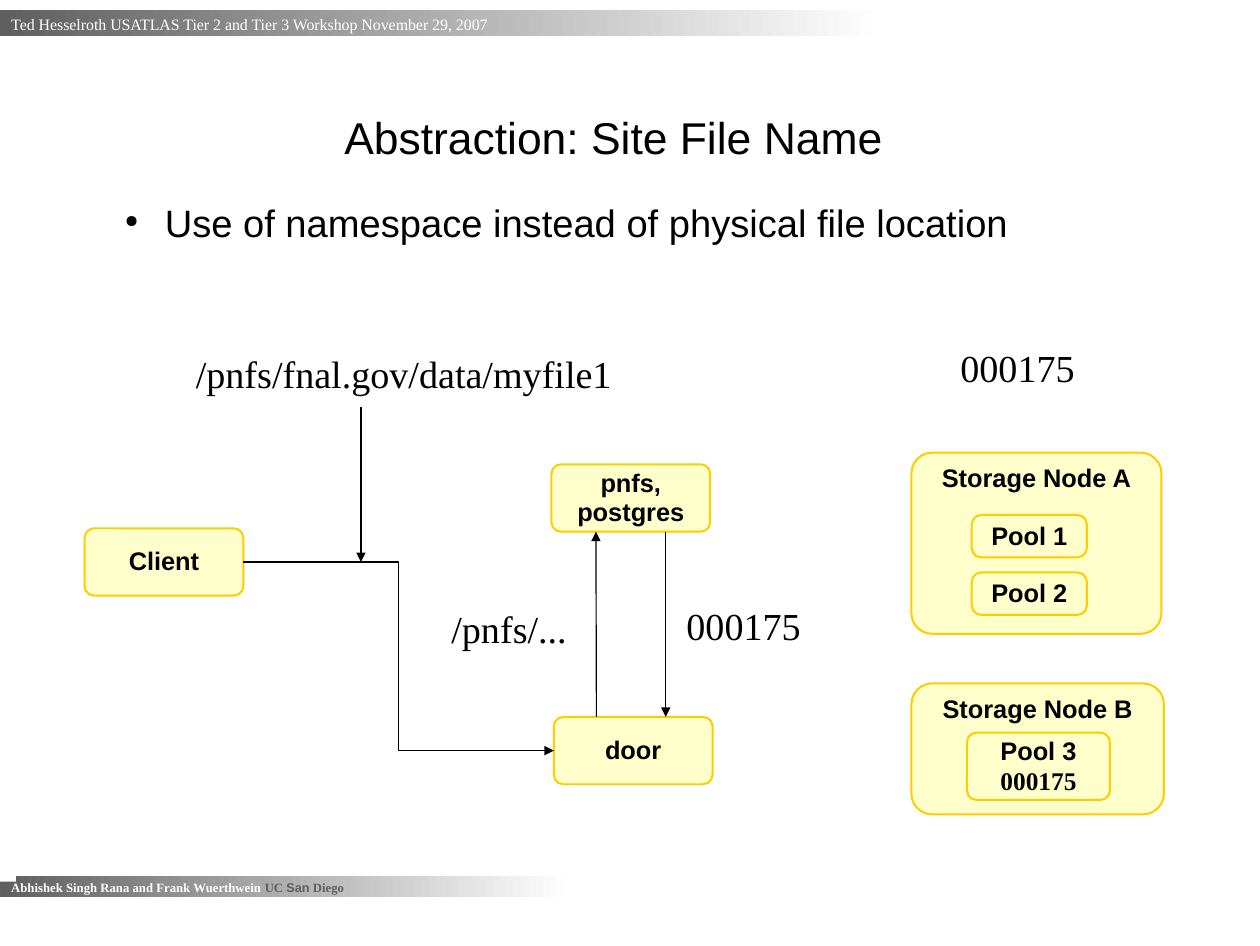
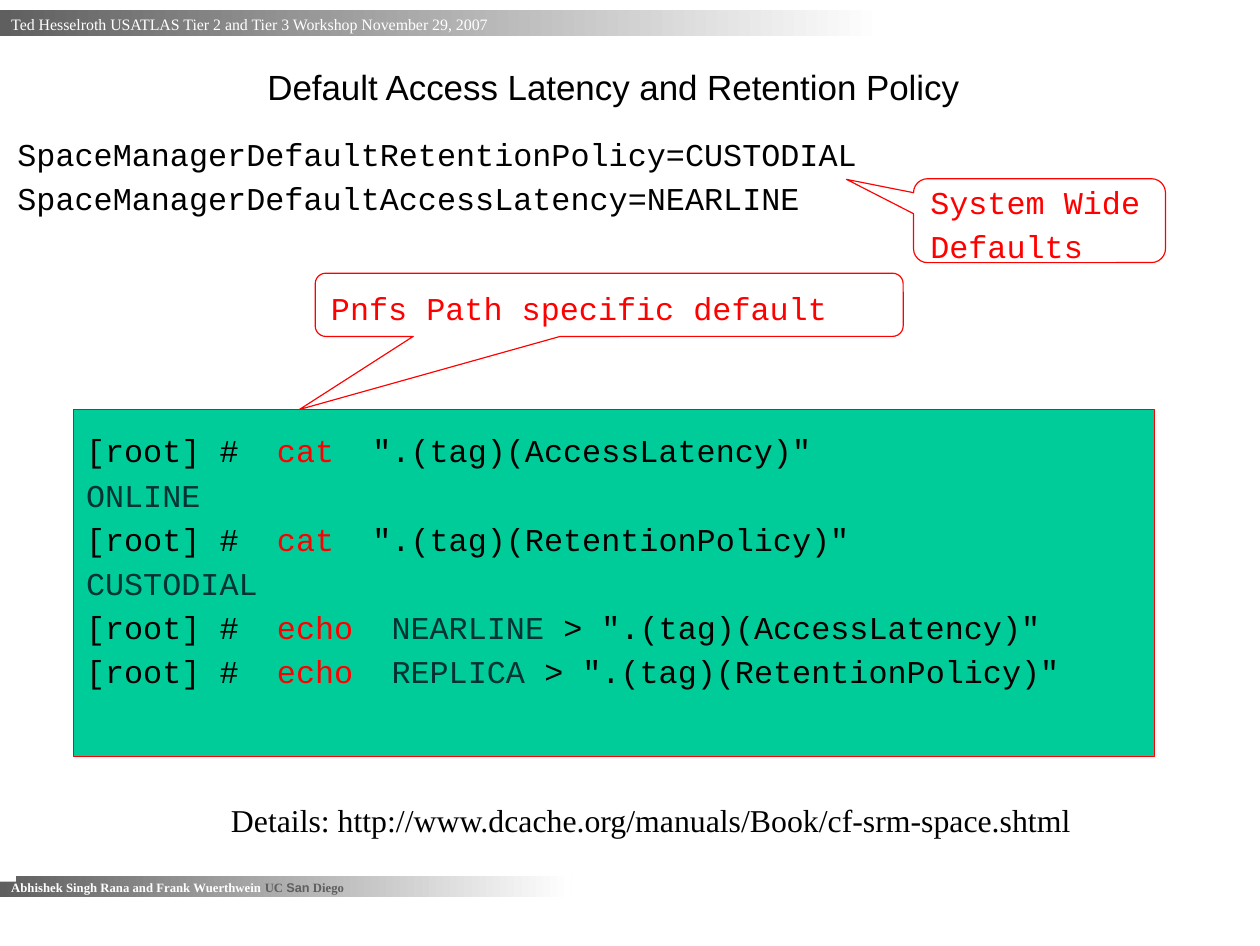
import pptx
import pptx.dml.color
import pptx.enum.shapes
import pptx.enum.text
import pptx.oxml.ns
import pptx.util
from lxml import etree

Pt = pptx.util.Pt
SHAPES = pptx.enum.shapes.MSO_SHAPE
CONNECTORS = pptx.enum.shapes.MSO_CONNECTOR
ALIGN = pptx.enum.text.PP_ALIGN
ANCHOR = pptx.enum.text.MSO_ANCHOR

SANS, SERIF, MONO = "Arial", "Times New Roman", "Courier New"
BLACK, WHITE, GRAY, RED = "000000", "FFFFFF", "5F5F5F", "FF0000"
CREAM, GOLD, GREEN, DARK_GREEN = "FFFFCC", "FFCC00", "00CC99", "003333"
NODE_WIDTH, NODE_HEIGHT = 100, 42.4
MONO_INSETS = (8, 4.3, 8, 4.3)


def color(value):
    return pptx.dml.color.RGBColor.from_string(value)


def add_child(parent, tag, **attributes):
    return etree.SubElement(parent, pptx.oxml.ns.qn(tag), attributes)


def write(shape, paragraphs, font=SANS, size=16, text_color=BLACK, bold=False,
          align=ALIGN.LEFT, anchor=ANCHOR.MIDDLE, spacing=1.16,
          insets=(0, 0, 0, 0), bullet=False):
    frame = shape.text_frame
    frame.word_wrap = True
    frame.vertical_anchor = anchor
    frame.margin_left, frame.margin_top, frame.margin_right, frame.margin_bottom = map(Pt, insets)
    for index, runs in enumerate(paragraphs):
        paragraph = frame.add_paragraph() if index else frame.paragraphs[0]
        if bullet:
            properties = paragraph._p.get_or_add_pPr()
            properties.set("marL", str(Pt(33.8)))
            properties.set("indent", str(-Pt(25.2)))
            add_child(properties, "a:buSzPct", val="45000")
            add_child(properties, "a:buChar", char="●")
        paragraph.alignment = align
        paragraph.line_spacing = spacing
        for item in [runs] if isinstance(runs, str) else runs:
            text, changes = (item, {}) if isinstance(item, str) else item
            run = paragraph.add_run()
            run.text = text
            run.font.name = changes.get("font", font)
            run.font.size = Pt(size)
            run.font.bold = bold
            run.font.color.rgb = color(changes.get("text_color", text_color))
    return shape


def add_text(slide, box, paragraphs, **text_format):
    shape = slide.shapes.add_textbox(*map(Pt, box))
    return write(shape, paragraphs, **text_format)


def add_shape(slide, kind, box, fill=None, line=None, width=0.75, adjustments=()):
    shape = slide.shapes.add_shape(kind, *map(Pt, box))
    shape.shadow.inherit = False
    for index, value in enumerate(adjustments):
        shape.adjustments[index] = value
    if fill:
        shape.fill.solid()
        shape.fill.fore_color.rgb = color(fill)
    else:
        shape.fill.background()
    if line:
        shape.line.color.rgb = color(line)
        shape.line.width = Pt(width)
    else:
        shape.line.fill.background()
    return shape


def add_band(slide, box):
    band = add_shape(slide, SHAPES.RECTANGLE, box)
    band.fill.gradient()
    band.fill.gradient_angle = 0
    for stop, value in zip(band.fill.gradient_stops, (GRAY, WHITE)):
        stop.color.rgb = color(value)
    return band


def add_arrow(slide, start, end, kind=CONNECTORS.STRAIGHT, width=0.75):
    arrow = slide.shapes.add_connector(kind, *map(Pt, start + end))
    arrow.line.color.rgb = color(BLACK)
    arrow.line.width = Pt(width)
    add_child(arrow.line._get_or_add_ln(), "a:tailEnd", type="triangle")
    add_child(arrow._element.spPr, "a:effectLst")


def add_node(slide, box, paragraphs, radius=6, **text_format):
    node = add_shape(slide, SHAPES.ROUNDED_RECTANGLE, box, CREAM, GOLD, 1.25,
                     [radius / min(box[2:])])
    write(node, paragraphs, bold=True, align=ALIGN.CENTER, spacing=0.98, **text_format)


def add_storage(slide, box, name, pools, pool_box, pitch=0):
    left, top = box[:2]
    add_node(slide, box, [name], radius=13, anchor=ANCHOR.TOP, insets=(0, 3, 0, 0))
    pool_left, pool_top, width, height = pool_box
    for index, pool in enumerate(pools):
        place = (left + pool_left, top + pool_top + index * pitch, width, height)
        add_node(slide, place, pool)


def add_callout(slide, box, pointer, paragraphs):
    callout = add_shape(slide, SHAPES.ROUNDED_RECTANGULAR_CALLOUT, box, line=RED,
                        adjustments=(*pointer, 0.167))
    write(callout, paragraphs, font=MONO, size=20, text_color=RED, insets=MONO_INSETS)


def add_themed_slide(presentation, title, title_height, title_size):
    slide = presentation.slides.add_slide(presentation.slide_layouts[6])
    write(add_band(slide, (0, 6.5, 556, 16)),
          ["Ted Hesselroth USATLAS Tier 2 and Tier 3 Workshop November 29, 2007"],
          font=SERIF, size=10, text_color=WHITE, insets=(7.2, 0, 0, 0))
    gray = {"text_color": GRAY}
    write(add_band(slide, (0, 551.5, 360, 13)),
          [["Abhishek Singh Rana and Frank Wuerthwein ", ("UC ", gray),
            ("San", {"font": SANS, **gray}), (" Diego", gray)]],
          font=SERIF, size=8, text_color=WHITE, bold=True, insets=(7.2, 0, 7.2, 0))
    add_shape(slide, SHAPES.RECTANGLE, (0, 550, 10, 5), WHITE)
    add_text(slide, (47.5, 32.4, 677.5, title_height), [title],
             size=title_size, align=ALIGN.CENTER, spacing=1.24)
    return slide


def add_access_diagram(slide, left, top):
    client = (left, top + 76.3)
    namespace = (left + 294, top + 36)
    door = (left + 295.5, top + 195)
    for position, lines in ((client, ["Client"]),
                            (namespace, ["pnfs,", "postgres"]),
                            (door, ["door"])):
        add_node(slide, (*position, NODE_WIDTH, NODE_HEIGHT), lines)

    client_exit = (client[0] + NODE_WIDTH, client[1] + NODE_HEIGHT / 2)
    door_entry = (door[0], door[1] + NODE_HEIGHT / 2)
    add_arrow(slide, client_exit, door_entry, CONNECTORS.ELBOW)
    add_arrow(slide, (left + 174, top), (left + 174, client_exit[1]), width=1)
    namespace_bottom = namespace[1] + NODE_HEIGHT
    add_arrow(slide, (left + 322.3, door[1]), (left + 322, namespace_bottom))
    add_arrow(slide, (left + 366, namespace_bottom), (left + 366, door[1]))

    for x, y, width, label in ((70, -40.3, 289, "/pnfs/fnal.gov/data/myfile1"),
                               (551.5, -44, 80, "000175"),
                               (379, 118.8, 80, "000175"),
                               (231, 120.2, 80, "/pnfs/...")):
        add_text(slide, (left + x, top + y, width, 33), [label], font=SERIF, size=24)


def build_site_file_name(presentation):
    slide = add_themed_slide(presentation, "Abstraction: Site File Name", 99.4, 28)
    add_text(slide, (70, 118.8, 677.5, 44.6),
             ["Use of namespace instead of physical file location"],
             size=24, anchor=ANCHOR.TOP, spacing=1.24, bullet=True)
    add_access_diagram(slide, 53.3, 256.3)
    add_storage(slide, (574, 285, 157.5, 114), "Storage Node A",
                [["Pool 1"], ["Pool 2"]], (38, 39.2, 72.5, 26.7), pitch=36.2)
    add_storage(slide, (574, 430.2, 159, 82.4), "Storage Node B",
                [["Pool 3", [("000175", {"font": SERIF})]]], (35, 31, 90, NODE_HEIGHT))


def add_terminal(slide, box):
    def command(name, value, rest):
        return ["[root] #  ", (name + "  ", {"text_color": RED}),
                (value, {"text_color": DARK_GREEN}), rest]

    def result(value):
        return [(value, {"text_color": DARK_GREEN})]

    latency, retention = '".(tag)(AccessLatency)"', '".(tag)(RetentionPolicy)"'
    terminal = add_shape(slide, SHAPES.RECTANGLE, box, GREEN, RED)
    write(terminal,
          [command("cat", "", latency), result("ONLINE"),
           command("cat", "", retention), result("CUSTODIAL"),
           command("echo", "NEARLINE", " > " + latency),
           command("echo", "REPLICA", " > " + retention)],
          font=MONO, size=20, insets=(8, 4.3, 8, 36))


def build_default_policy(presentation):
    slide = add_themed_slide(presentation, "Default Access Latency and Retention Policy", 37.4, 22)
    add_text(slide, (3, 77, 560, 63.4),
             ["SpaceManagerDefaultRetentionPolicy=CUSTODIAL",
              "SpaceManagerDefaultAccessLatency=NEARLINE"],
             font=MONO, size=20, insets=MONO_INSETS)
    add_callout(slide, (575.3, 112.5, 158.7, 52.8), (-0.766, -0.492),
                ["System Wide", "Defaults"])
    add_terminal(slide, (46.2, 257.8, 681, 218.2))
    add_callout(slide, (198.5, 172, 370.3, 39.8), (-0.527, 1.656),
                ["Pnfs Path specific default"])
    add_text(slide, (137.5, 496, 570, 36),
             ["Details: http://www.dcache.org/manuals/Book/cf-srm-space.shtml"],
             font=SERIF, size=20, insets=MONO_INSETS)


def main():
    presentation = pptx.Presentation()
    presentation.slide_width = Pt(793.5)
    presentation.slide_height = Pt(595.5)
    build_site_file_name(presentation)
    build_default_policy(presentation)
    presentation.save("out.pptx")


if __name__ == "__main__":
    main()
